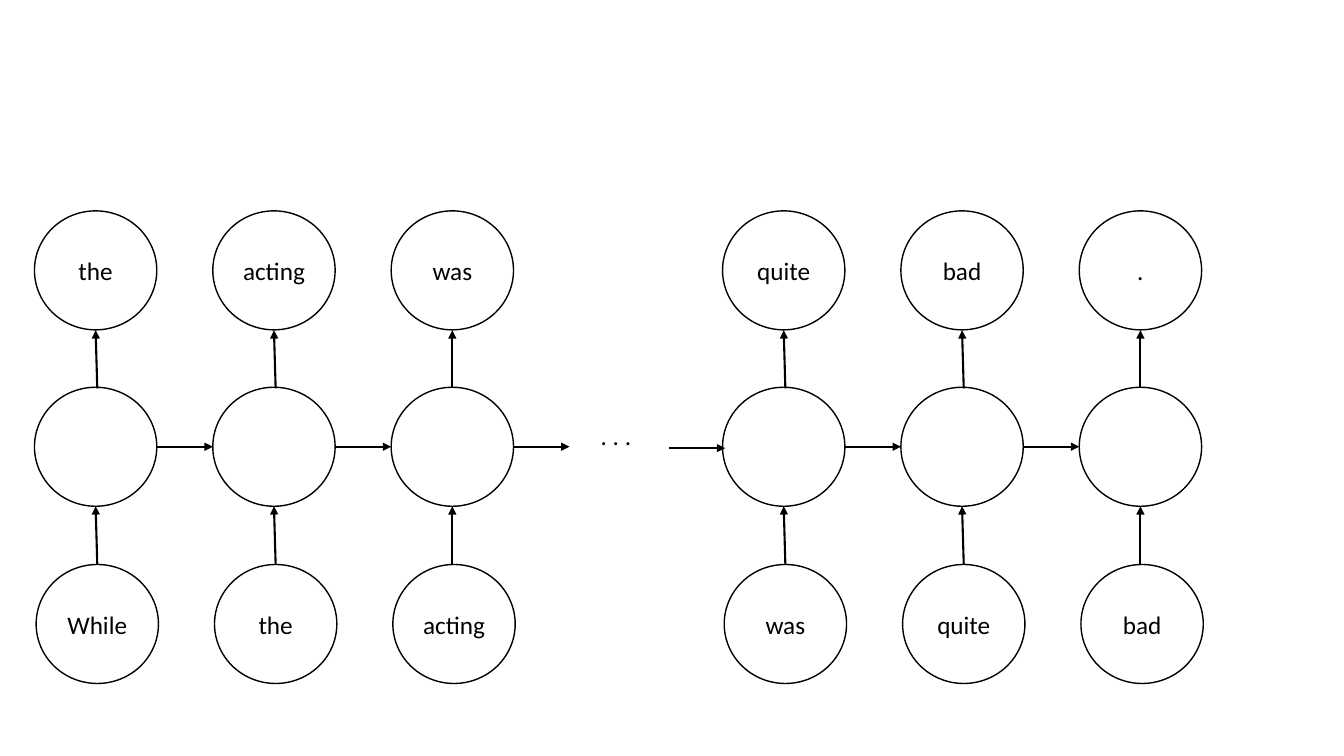
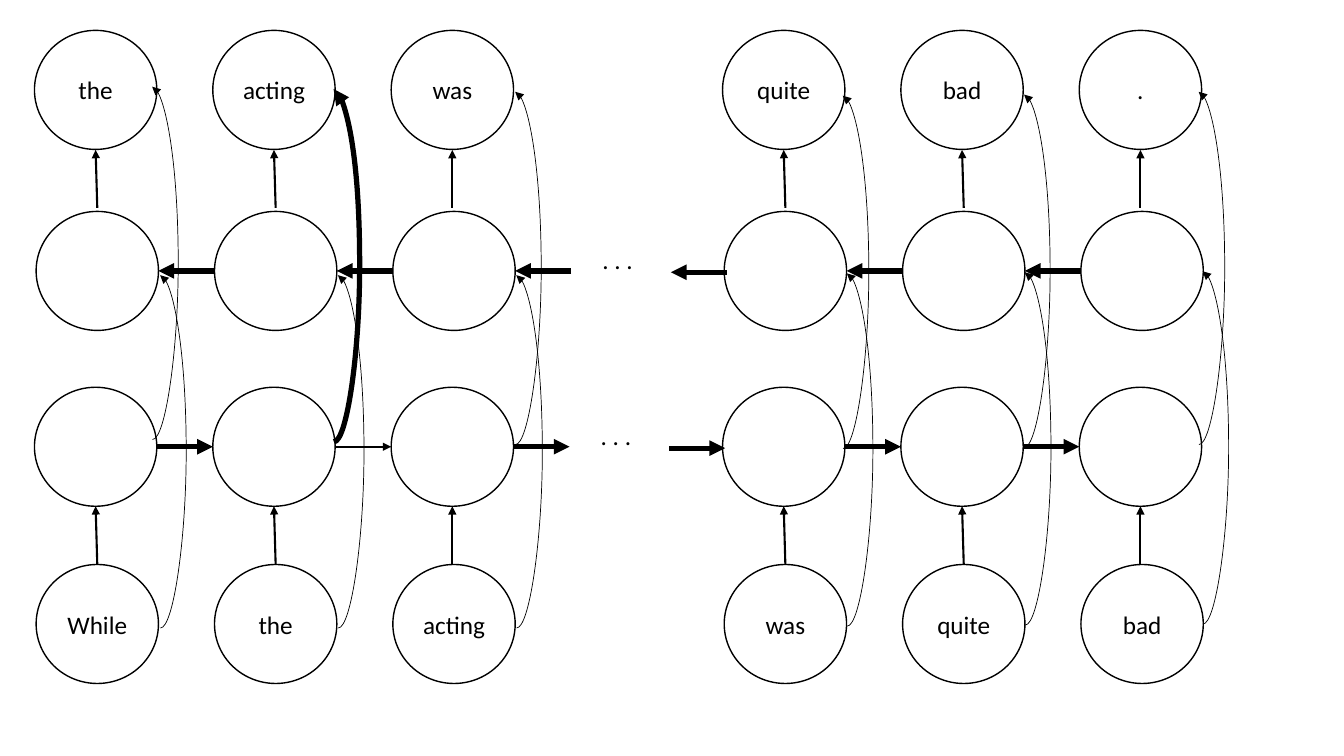
import dataclasses

import lxml.etree
import pptx
import pptx.dml.color
import pptx.enum.shapes
import pptx.enum.text
import pptx.oxml.ns
import pptx.util

Pt = pptx.util.Pt
qn = pptx.oxml.ns.qn
Connector = pptx.enum.shapes.MSO_CONNECTOR
Align = pptx.enum.text.PP_ALIGN
Anchor = pptx.enum.text.MSO_ANCHOR


@dataclasses.dataclass(frozen=True)
class Theme:
    ink = pptx.dml.color.RGBColor(0x00, 0x00, 0x00)
    paper = pptx.dml.color.RGBColor(0xFF, 0xFF, 0xFF)
    font: str = "Calibri"
    size: float = 18
    outline: float = 1
    fine: float = 0.5
    normal: float = 1.5
    heavy: float = 3.75


theme = Theme()

PITCH = 127.4
CIRCLE_WIDTH, CIRCLE_HEIGHT = 87.4, 85
COLUMNS = [start + PITCH * step for start in (24.6, 516.1) for step in range(3)]
INPUT_TOP, FORWARD_TOP, BACKWARD_TOP = 403.2, 276.6, 151
ROW_SHIFT = 1.2  # the input and backward rows sit slightly further right
GAP = PITCH - CIRCLE_WIDTH
DOTS_LEFT, RESUME_LEFT = 422, 478
CURVE_RISE, CURVE_WIDTH, CURVE_BULGE = 252, 0.25, 18

INPUTS = ["While", "the", "acting", "was", "quite", "bad"]
OUTPUTS = ["the", "acting", "was", "quite", "bad", "."]
HIDDEN = [""] * len(COLUMNS)


def write(shape, text, align=Align.LEFT, anchor=Anchor.TOP, wrap=True):
    frame = shape.text_frame
    frame.word_wrap = wrap
    frame.vertical_anchor = anchor
    para = frame.paragraphs[0]
    para.alignment = align
    span = para.add_run()
    span.text = text
    span.font.name = theme.font
    span.font.size = Pt(theme.size)
    span.font.color.rgb = theme.ink


def draw_arrow(page, start, end, width, kind=Connector.STRAIGHT):
    arrow = page.shapes.add_connector(kind, *[Pt(length) for length in (*start, *end)])
    arrow.line.color.rgb = theme.ink
    arrow.line.width = Pt(width)
    properties = arrow._element.spPr
    lxml.etree.SubElement(properties.find(qn("a:ln")), qn("a:tailEnd"), type="triangle")
    lxml.etree.SubElement(properties, qn("a:effectLst"))
    return arrow


# Each circle row: top, shift, words, filled
shared_rows = [(INPUT_TOP, ROW_SHIFT, INPUTS, True), (FORWARD_TOP, 0, HIDDEN, False)]
# Each chain: top, shift, runs backward, widths of its arrows
plain_chain = (FORWARD_TOP, 0, False, [theme.normal] * 6)
marked_chain = (FORWARD_TOP, 0, False, [theme.heavy, theme.normal] + [theme.heavy] * 4)
backward_chain = (BACKWARD_TOP, ROW_SHIFT, True, [theme.heavy] * 6)
# Upright arrows: start and end height
input_rise = (403.2, 361.6)
# Curves: tip positions and line widths
input_tips = [(114.4, 196.6), (241.4, 196.6), (368.8, 196.6),
              (604.9, 195.3), (732.1, 194.5), (859, 193.8)]
output_tips = [(108.7, 62), (238.3, 63.6), (368, 65.6),
               (602, 68.4), (731.5, 67.6), (856.2, 65.6)]
curves = [(tip, theme.fine) for tip in input_tips]
curves += [(tip, theme.heavy if column == 1 else theme.fine)
           for column, tip in enumerate(output_tips)]

pages = [
    dict(rows=shared_rows + [(150.6, 0, OUTPUTS, False)],
         chains=[plain_chain], rises=[input_rise, (277.4, 235.9)], curves=[]),
    dict(rows=shared_rows + [(21.7, 0, OUTPUTS, False),
                             (BACKWARD_TOP, ROW_SHIFT, HIDDEN, False)],
         chains=[marked_chain, backward_chain],
         rises=[input_rise, (148.5, 107.1)], curves=curves),
]

deck = pptx.Presentation()
deck.slide_width, deck.slide_height = Pt(960), Pt(540)

for content in pages:
    page = deck.slides.add_slide(deck.slide_layouts[6])

    for top, shift, words, filled in content["rows"]:
        for left, word in zip(COLUMNS, words):
            circle = page.shapes.add_shape(
                pptx.enum.shapes.MSO_SHAPE.OVAL, Pt(left + shift), Pt(top),
                Pt(CIRCLE_WIDTH), Pt(CIRCLE_HEIGHT))
            circle.shadow.inherit = False
            circle.line.color.rgb = theme.ink
            circle.line.width = Pt(theme.outline)
            if filled:
                circle.fill.solid()
                circle.fill.fore_color.rgb = theme.paper
            else:
                circle.fill.background()
            if word:
                write(circle, word, align=Align.CENTER, anchor=Anchor.MIDDLE)

    for start_y, end_y in content["rises"]:
        for column, left in enumerate(COLUMNS):
            middle = left + CIRCLE_WIDTH / 2
            lean = 0 if column % 3 == 2 else ROW_SHIFT
            draw_arrow(page, (middle + lean, start_y), (middle, end_y), theme.normal)

    for top, shift, backward, widths in content["chains"]:
        middle = top + CIRCLE_HEIGHT / 2
        gaps = [(left + CIRCLE_WIDTH, middle) for left in COLUMNS[:-1]]
        gaps.append((RESUME_LEFT, middle + 1))
        for (left, y), width in zip(gaps, widths):
            ends = [(left + shift, y), (left + shift + GAP, y)]
            if backward:
                ends.reverse()
            draw_arrow(page, *ends, width)
        box = page.shapes.add_textbox(Pt(DOTS_LEFT + shift), Pt(middle - 22.4), Pt(40), Pt(29))
        write(box, ". . .", wrap=False)

    for (x, y), width in content["curves"]:
        curve = draw_arrow(page, (x + CURVE_WIDTH, y + CURVE_RISE), (x, y), width,
                           kind=Connector.CURVE)
        geometry = curve._element.spPr.find(qn("a:prstGeom"))
        guides = geometry.find(qn("a:avLst"))
        bulge = round(-CURVE_BULGE / CURVE_WIDTH * 100000)
        lxml.etree.SubElement(guides, qn("a:gd"), name="adj1", fmla=f"val {bulge}")

deck.save("out.pptx")
